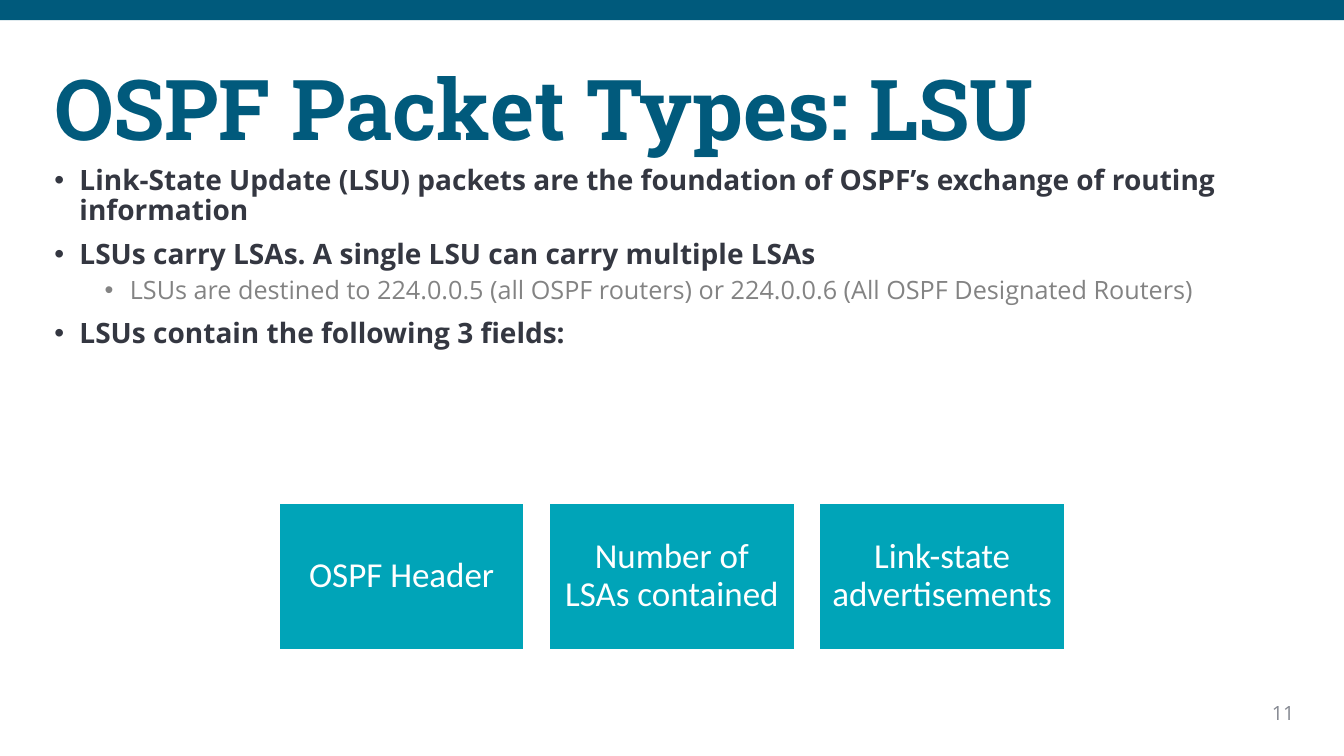
from lxml.etree import SubElement
from pptx import Presentation
from pptx.dml.color import RGBColor
from pptx.enum.shapes import MSO_SHAPE as Shape
from pptx.enum.text import MSO_ANCHOR as Anchor, PP_ALIGN as Align
from pptx.oxml.ns import qn
from pptx.util import Pt

BAR_BLUE = RGBColor(0x00, 0x5A, 0x7C)
TITLE_BLUE = RGBColor(0x01, 0x5A, 0x7C)
TEAL = RGBColor(0x00, 0xA4, 0xB8)
INK = RGBColor(0x34, 0x37, 0x41)
GREY = RGBColor(0x83, 0x83, 0x83)
NUMBER_GREY = RGBColor(0x85, 0x88, 0x91)
WHITE = RGBColor(0xFF, 0xFF, 0xFF)

BULLETS = [
    (0, "Link-State Update (LSU) packets are the foundation of OSPF’s exchange of routing information"),
    (0, "LSUs carry LSAs. A single LSU can carry multiple LSAs"),
    (1, "LSUs are destined to 224.0.0.5 (all OSPF routers) or 224.0.0.6 (All OSPF Designated Routers)"),
    (0, "LSUs contain the following 3 fields:"),
]
FIELDS = ["OSPF Header", "Number of LSAs contained", "Link-state advertisements"]
FIELD_LEFT, FIELD_STEP = 199.4, 193


def style(para, text, font, size, color, bold=False, align=Align.LEFT, spacing=0.9):
    para.text = text
    para.alignment = align
    para.line_spacing = spacing
    for span in para.runs:
        span.font.name = font
        span.font.size = Pt(size)
        span.font.color.rgb = color
        span.font.bold = bold


def add_box(page, left, top, width, height, anchor=Anchor.TOP):
    box = page.shapes.add_textbox(Pt(left), Pt(top), Pt(width), Pt(height))
    box.text_frame.word_wrap = True
    box.text_frame.vertical_anchor = anchor
    return box.text_frame


def add_rectangle(page, left, top, width, height, color):
    rectangle = page.shapes.add_shape(Shape.RECTANGLE, Pt(left), Pt(top), Pt(width), Pt(height))
    rectangle.shadow.inherit = False
    rectangle.fill.solid()
    rectangle.fill.fore_color.rgb = color
    rectangle.line.fill.background()
    return rectangle


def add_bullets(page, bullets):
    frame = add_box(page, 31.7, 115.2, 890, 169.2)
    for index, (level, text) in enumerate(bullets):
        para = frame.paragraphs[0] if index == 0 else frame.add_paragraph()
        para.level = level
        if level:
            style(para, text, "Open Sans", 18, GREY)
        else:
            style(para, text, "Open Sans", 20, INK, bold=True)
        if index:
            para.space_before = Pt(5 if level else 10)
        properties = para._p.get_or_add_pPr()
        properties.set("marL", str(Pt(18 + 36 * level)))
        properties.set("indent", str(Pt(-18)))
        SubElement(properties, qn("a:buFont"), typeface="Arial")
        SubElement(properties, qn("a:buChar"), char="•")


def add_field(page, left, text):
    field = add_rectangle(page, left, 359.3, 175, 105, TEAL)
    field.line.color.rgb = WHITE
    field.line.width = Pt(1)
    frame = field.text_frame
    frame.word_wrap = True
    frame.vertical_anchor = Anchor.MIDDLE
    frame.margin_left = frame.margin_right = Pt(7)
    frame.margin_top = frame.margin_bottom = Pt(7)
    style(frame.paragraphs[0], text, "Calibri", 25, WHITE, align=Align.CENTER)


def main():
    deck = Presentation()
    deck.slide_width, deck.slide_height = Pt(960), Pt(540)
    page = deck.slides.add_slide(deck.slide_layouts[6])
    add_rectangle(page, 0, 0, 960, 14.4, BAR_BLUE)
    number = add_box(page, 885.6, 496.8, 46, 24.5)
    style(number.paragraphs[0], "11", "Open Sans", 14, NUMBER_GREY, align=Align.RIGHT, spacing=1.0)
    title = add_box(page, 31.7, 28.8, 916.6, 104.4, Anchor.MIDDLE)
    style(title.paragraphs[0], "OSPF Packet Types: LSU", "Roboto Slab", 60, TITLE_BLUE, bold=True)
    add_bullets(page, BULLETS)
    for index, text in enumerate(FIELDS):
        add_field(page, FIELD_LEFT + index * FIELD_STEP, text)
    deck.save("out.pptx")


if __name__ == "__main__":
    main()
